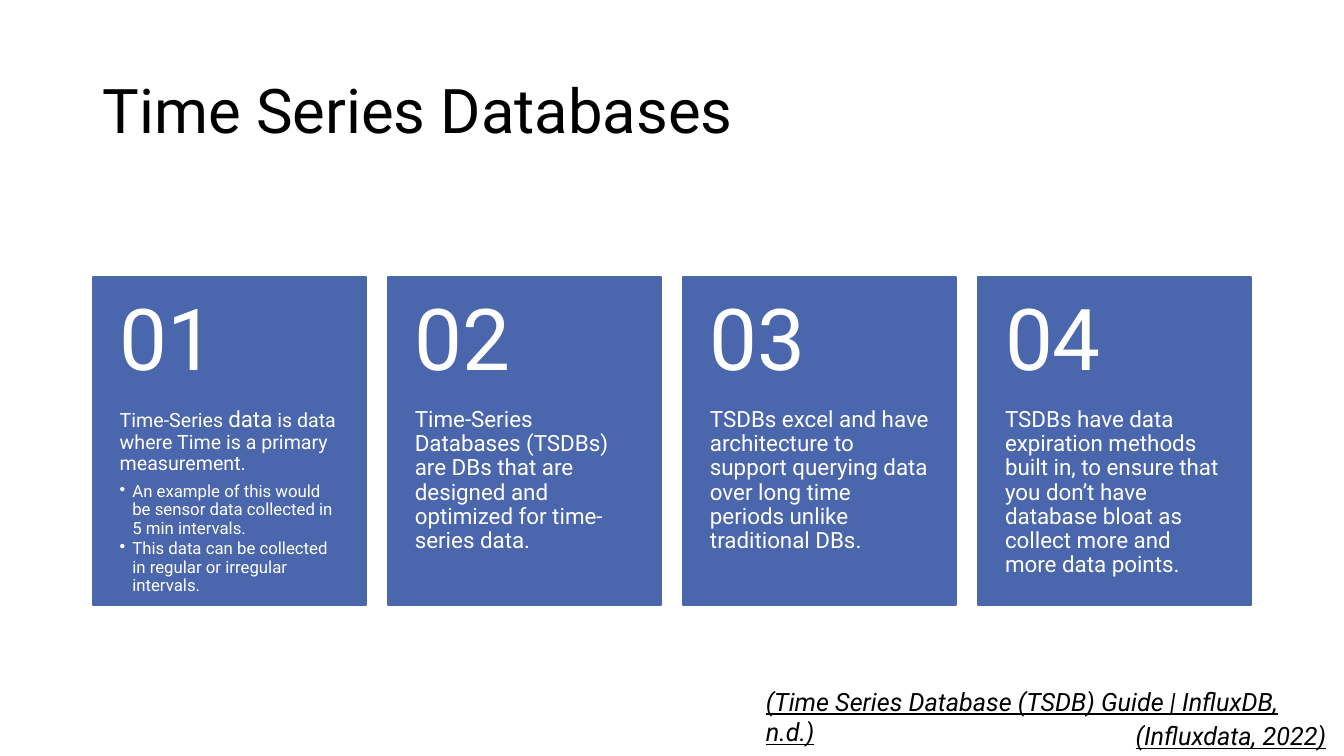
"""Builds a slide with four numbered cards about time series databases."""
from lxml.etree import SubElement
from pptx import Presentation
from pptx.dml.color import RGBColor
from pptx.enum.shapes import MSO_SHAPE
from pptx.enum.text import MSO_ANCHOR
from pptx.oxml.ns import qn
from pptx.util import Pt

BLACK = RGBColor(0x00, 0x00, 0x00)
WHITE = RGBColor(0xFF, 0xFF, 0xFF)
BLUE = RGBColor(0x4A, 0x66, 0xAC)

LEFT, TOP = 66.2, 198
CARD_WIDTH, CARD_HEIGHT, CARD_PITCH = 195.1, 234, 210.8
NUMBER_HEIGHT = 93.6

CARDS = [
    [
        {"runs": [("Time-Series ", 14), ("data", 16),
                  (" is data where Time is a primary measurement.", 14)]},
        {"runs": [("An example of this would be sensor data collected in 5 min intervals.", 12)],
         "bullet": True, "after": 2},
        {"runs": [("This data can be collected in regular or irregular intervals.", 12)],
         "bullet": True, "after": 2},
    ],
    [{"runs": [("Time-Series Databases (TSDBs) are DBs that are designed and "
                "optimized for time-series data.", 16)]}],
    [{"runs": [("TSDBs excel and have architecture to support querying data over "
                "long time periods unlike traditional DBs.", 16)]}],
    [{"runs": [("TSDBs have data expiration methods built in, to ensure that you "
                "don’t have database bloat as collect more and more data points.", 16)]}],
]


def add_run(paragraph, text, size, color=BLACK, font="Roboto", italic=False, underline=False):
    run = paragraph.add_run()
    run.text = text
    run.font.name = font
    run.font.size = Pt(size)
    run.font.color.rgb = color
    run.font.italic = italic
    run.font.underline = underline


class SlideBuilder:
    def __init__(self, slide):
        self.slide = slide

    def frame(self, left, top, width, height, insets=(7.2, 3.6, 7.2, 3.6),
              anchor=MSO_ANCHOR.TOP, wrap=True):
        frame = self.slide.shapes.add_textbox(
            Pt(left), Pt(top), Pt(width), Pt(height)).text_frame
        frame.word_wrap = wrap
        frame.vertical_anchor = anchor
        frame.margin_left, frame.margin_top, frame.margin_right, frame.margin_bottom = map(Pt, insets)
        return frame

    def title(self, text):
        heading = self.frame(LEFT, 28.8, 828, 104.4, anchor=MSO_ANCHOR.MIDDLE).paragraphs[0]
        heading.line_spacing = 0.9
        add_run(heading, text, 44)

    def panel(self, left):
        panel = self.slide.shapes.add_shape(
            MSO_SHAPE.RECTANGLE, Pt(left), Pt(TOP), Pt(CARD_WIDTH), Pt(CARD_HEIGHT))
        panel.shadow.inherit = False
        panel.fill.solid()
        panel.fill.fore_color.rgb = BLUE
        panel.line.color.rgb = BLUE
        panel.line.width = Pt(1.5)

    def card_paragraph(self, paragraph, runs, bullet=False, after=6):
        paragraph.line_spacing = 0.9
        paragraph.space_after = Pt(after)
        if bullet:
            properties = paragraph._p.get_or_add_pPr()
            properties.set("marL", str(Pt(9)))
            properties.set("indent", str(-Pt(9)))
            SubElement(properties, qn("a:buChar"), char="•")
        for text, size in runs:
            add_run(paragraph, text, size, color=WHITE)

    def card(self, index, content):
        left = LEFT + index * CARD_PITCH
        self.panel(left)
        body = self.frame(left, TOP + NUMBER_HEIGHT, CARD_WIDTH,
                          CARD_HEIGHT - NUMBER_HEIGHT, insets=(19.3, 0, 19.3, 25.9))
        for position, part in enumerate(content):
            paragraph = body.add_paragraph() if position else body.paragraphs[0]
            self.card_paragraph(paragraph, **part)
        number = self.frame(left, TOP, CARD_WIDTH, NUMBER_HEIGHT,
                            insets=(19.3, 13, 19.3, 13), anchor=MSO_ANCHOR.MIDDLE)
        self.card_paragraph(number.paragraphs[0], [(f"{index + 1:02}", 61)])

    def citation(self, text, left, top, width, wrap=True):
        source = self.frame(left, top, width, 29, wrap=wrap)
        add_run(source.paragraphs[0], text, 18, italic=True, underline=True)


def main():
    presentation = Presentation()
    presentation.slide_width = Pt(960)
    presentation.slide_height = Pt(540)
    builder = SlideBuilder(presentation.slides.add_slide(presentation.slide_layouts[6]))
    builder.title("Time Series Databases")
    for index, content in enumerate(CARDS):
        builder.card(index, content)
    builder.citation("(Influxdata, 2022)", 804.2, 511.2, 151.2, wrap=False)
    builder.citation("(Time Series Database (TSDB) Guide | InfluxDB, n.d.)", 540, 486.7, 415.4)
    presentation.save("out.pptx")


if __name__ == "__main__":
    main()
